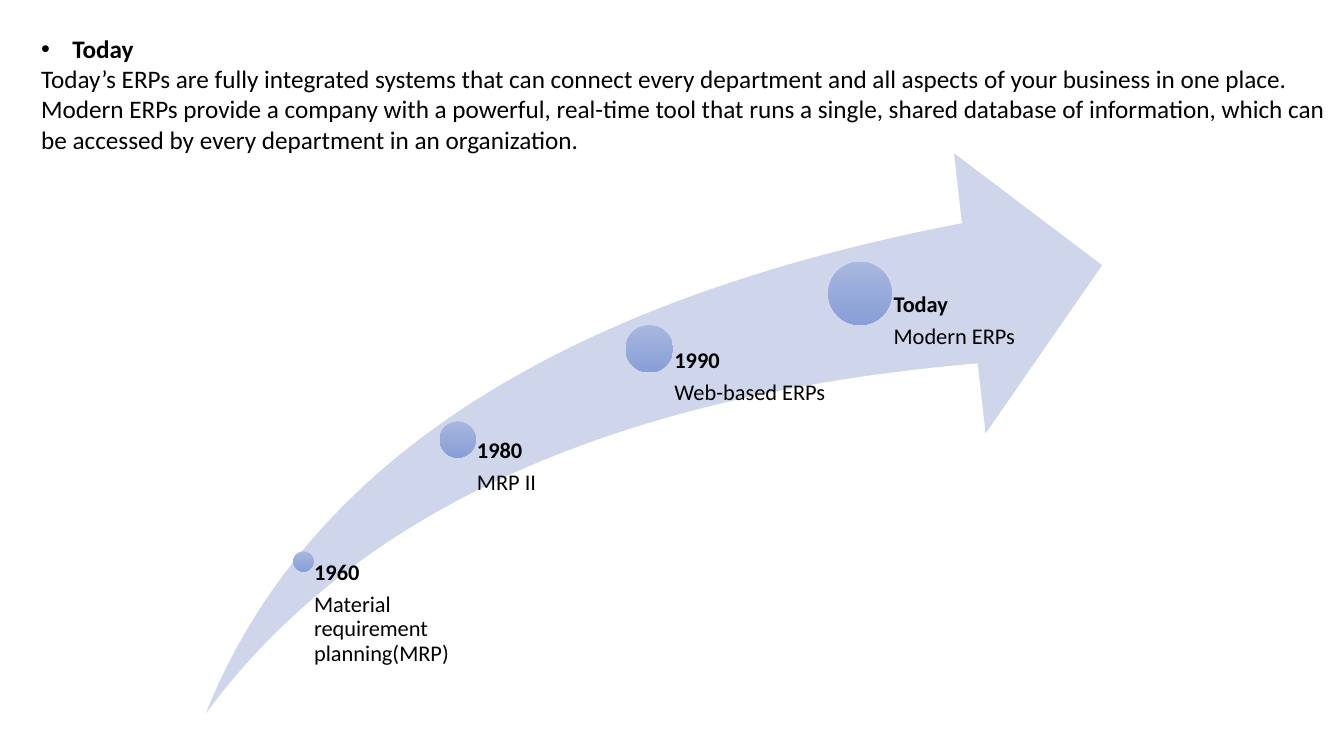
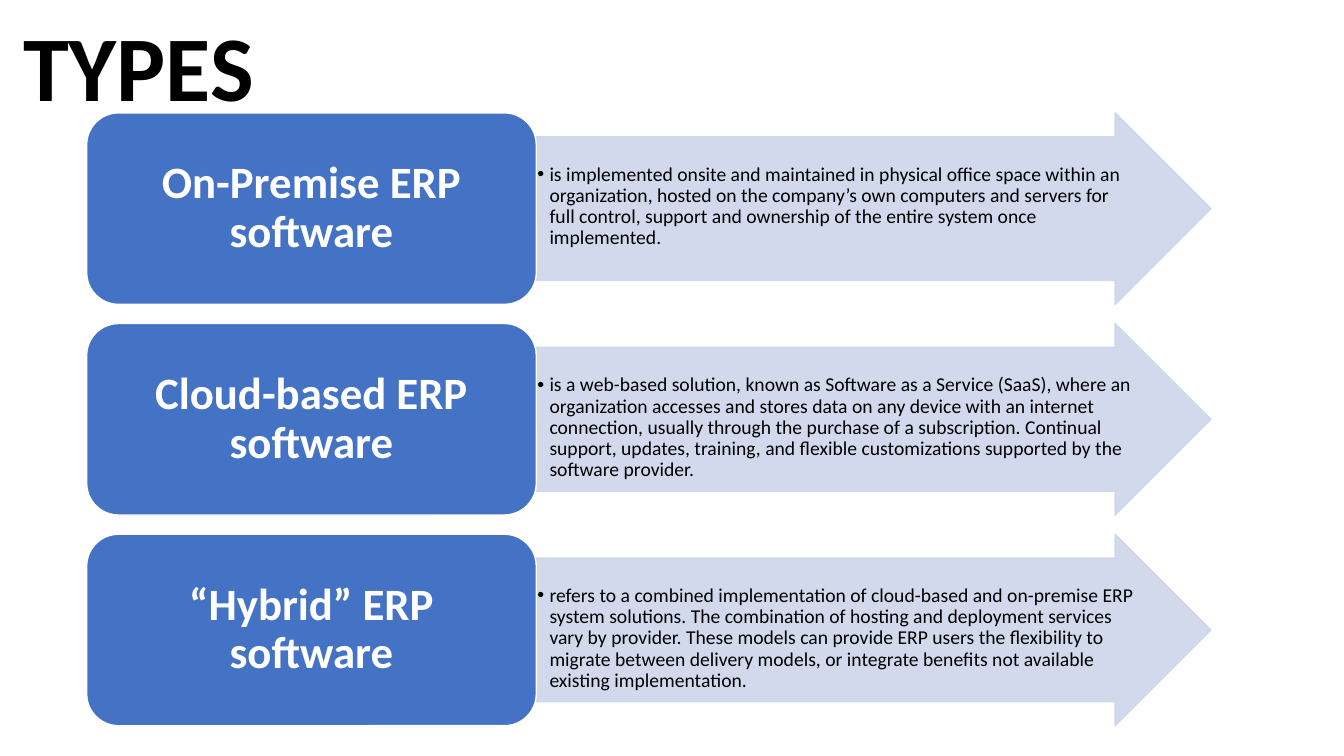
from pptx import Presentation
from pptx.dml.color import RGBColor
from pptx.enum import shapes, text
from pptx.oxml.ns import qn
from pptx.util import Inches, Pt
from lxml import etree

BLACK = RGBColor(0x00, 0x00, 0x00)
WHITE = RGBColor(0xFF, 0xFF, 0xFF)
BLUE = RGBColor(0x44, 0x72, 0xC4)
PALE = RGBColor(0xCF, 0xD5, 0xEA)
DOT_TOP = RGBColor(0xA8, 0xB7, 0xDF)
DOT_BOTTOM = RGBColor(0x88, 0x9E, 0xD7)
FONT = "Calibri"
SHAPE = shapes.MSO_SHAPE

INTRO = (
    "Today’s ERPs are fully integrated systems that can connect every department "
    "and all aspects of your business in one place. Modern ERPs provide a company "
    "with a powerful, real-time tool that runs a single, shared database of "
    "information, which can be accessed by every department in an organization."
)

MILESTONES = [
    ("1960", "Material requirement planning(MRP)", 3.01, 5.57, 0.2, 1.52),
    ("1980", "MRP II", 4.54, 4.36, 0.36, 1.87),
    ("1990", "Web-based ERPs", 6.44, 3.46, 0.47, 1.87),
    ("Today", "Modern ERPs", 8.53, 2.91, 0.63, 1.87),
]

ERP_TYPES = [
    ("On-Premise ERP software",
     "is implemented onsite and maintained in physical office space within an "
     "organization, hosted on the company’s own computers and servers for full "
     "control, support and ownership of the entire system once implemented."),
    ("Cloud-based ERP software",
     "is a web-based solution, known as Software as a Service (SaaS), where an "
     "organization accesses and stores data on any device with an internet "
     "connection, usually through the purchase of a subscription. Continual "
     "support, updates, training, and flexible customizations supported by the "
     "software provider."),
    ("“Hybrid” ERP software",
     "refers to a combined implementation of cloud-based and on-premise ERP "
     "system solutions. The combination of hosting and deployment services vary "
     "by provider. These models can provide ERP users the flexibility to migrate "
     "between delivery models, or integrate benefits not available existing "
     "implementation."),
]


class Deck:
    def __init__(self):
        self.prs = Presentation()
        self.prs.slide_width = Inches(13.33)
        self.prs.slide_height = Inches(7.5)
        self.slide = None

    def new_slide(self):
        self.slide = self.prs.slides.add_slide(self.prs.slide_layouts[6])

    def shape(self, kind, left, top, width, height, fill=None, line=None, adjust=()):
        item = self.slide.shapes.add_shape(
            kind, Inches(left), Inches(top), Inches(width), Inches(height))
        item.shadow.inherit = False
        for index, value in enumerate(adjust):
            item.adjustments[index] = value
        if fill is not None:
            item.fill.solid()
            item.fill.fore_color.rgb = fill
        if line is None:
            item.line.fill.background()
        else:
            item.line.color.rgb = line
            item.line.width = Pt(1)
        return item

    def dot(self, center_x, center_y, size):
        item = self.shape(SHAPE.OVAL, center_x - size / 2, center_y - size / 2, size, size)
        item.fill.gradient()
        item.fill.gradient_angle = 270
        for stop, color in zip(item.fill.gradient_stops, (DOT_TOP, DOT_BOTTOM)):
            stop.color.rgb = color

    def textbox(self, left, top, width, height, paragraphs, size, insets=None, **style):
        box = self.slide.shapes.add_textbox(
            Inches(left), Inches(top), Inches(width), Inches(height))
        self.set_text(box.text_frame, paragraphs, size, insets, **style)
        return box.text_frame.paragraphs

    def set_text(self, frame, paragraphs, size, insets=None, color=BLACK,
                 align=text.PP_ALIGN.LEFT, spacing=None, after=0):
        frame.word_wrap = True
        if insets:
            (frame.margin_left, frame.margin_top,
             frame.margin_right, frame.margin_bottom) = map(Inches, insets)
        frame.text = "\n".join(words for words, _ in paragraphs)
        for paragraph, (_, bold) in zip(frame.paragraphs, paragraphs):
            paragraph.alignment = align
            paragraph.space_after = Pt(after)
            if spacing:
                paragraph.line_spacing = spacing
            for run in paragraph.runs:
                run.font.name = FONT
                run.font.size = Pt(size)
                run.font.bold = bold
                run.font.color.rgb = color

    def bullet(self, paragraph, indent):
        props = paragraph._p.get_or_add_pPr()
        props.set("marL", str(Inches(indent)))
        props.set("indent", str(-Inches(indent)))
        etree.SubElement(props, qn("a:buFont")).set("typeface", "Arial")
        etree.SubElement(props, qn("a:buChar")).set("char", "•")

    def translucent(self, item, percent):
        for color in item._element.spPr.iter(qn("a:srgbClr")):
            etree.SubElement(color, qn("a:alpha")).set("val", str(percent * 1000))

    def milestone(self, year, system, center_x, center_y, size, width):
        self.dot(center_x, center_y, size)
        self.textbox(center_x, center_y, width, 6.89 - center_y,
                     [(year, True), (system, False)], 16,
                     insets=(size * 0.53, 0, 0, 0), spacing=0.9, after=5.6)

    def erp_type(self, name, description, top):
        arrow = self.shape(SHAPE.RIGHT_ARROW, 5.32, top, 6.69, 1.9, PALE, PALE, (0.75, 0.5))
        self.translucent(arrow, 90)
        details = self.textbox(5.32, top + 0.5, 5.98, 1.16, [(description, False)], 14,
                               insets=(0.01,) * 4, spacing=0.9)
        self.bullet(details[0], 0.12)
        label = self.shape(SHAPE.ROUNDED_RECTANGLE, 0.86, top, 4.46, 1.9, BLUE, WHITE)
        label.text_frame.vertical_anchor = text.MSO_ANCHOR.MIDDLE
        self.set_text(label.text_frame, [(name, True)], 32, insets=(0.13, 0.07, 0.13, 0.07),
                      color=WHITE, align=text.PP_ALIGN.CENTER, spacing=0.9)


def main():
    deck = Deck()

    deck.new_slide()
    deck.shape(SHAPE.SWOOSH_ARROW, 2.04, 1.52, 8.89, 5.56, PALE, adjust=(0.25, 0.25))
    for milestone in MILESTONES:
        deck.milestone(*milestone)
    intro = deck.textbox(0.31, 0.28, 13.03, 1.62, [("Today", True), (INTRO, False)], 18)
    deck.bullet(intro[0], 0.31)

    deck.new_slide()
    deck.textbox(0.13, 0.04, 2.61, 1.22, [("TYPES", True)], 66)
    for row, (name, description) in enumerate(ERP_TYPES):
        deck.erp_type(name, description, 1.12 + row * 2.09)

    deck.prs.save("out.pptx")


if __name__ == "__main__":
    main()
